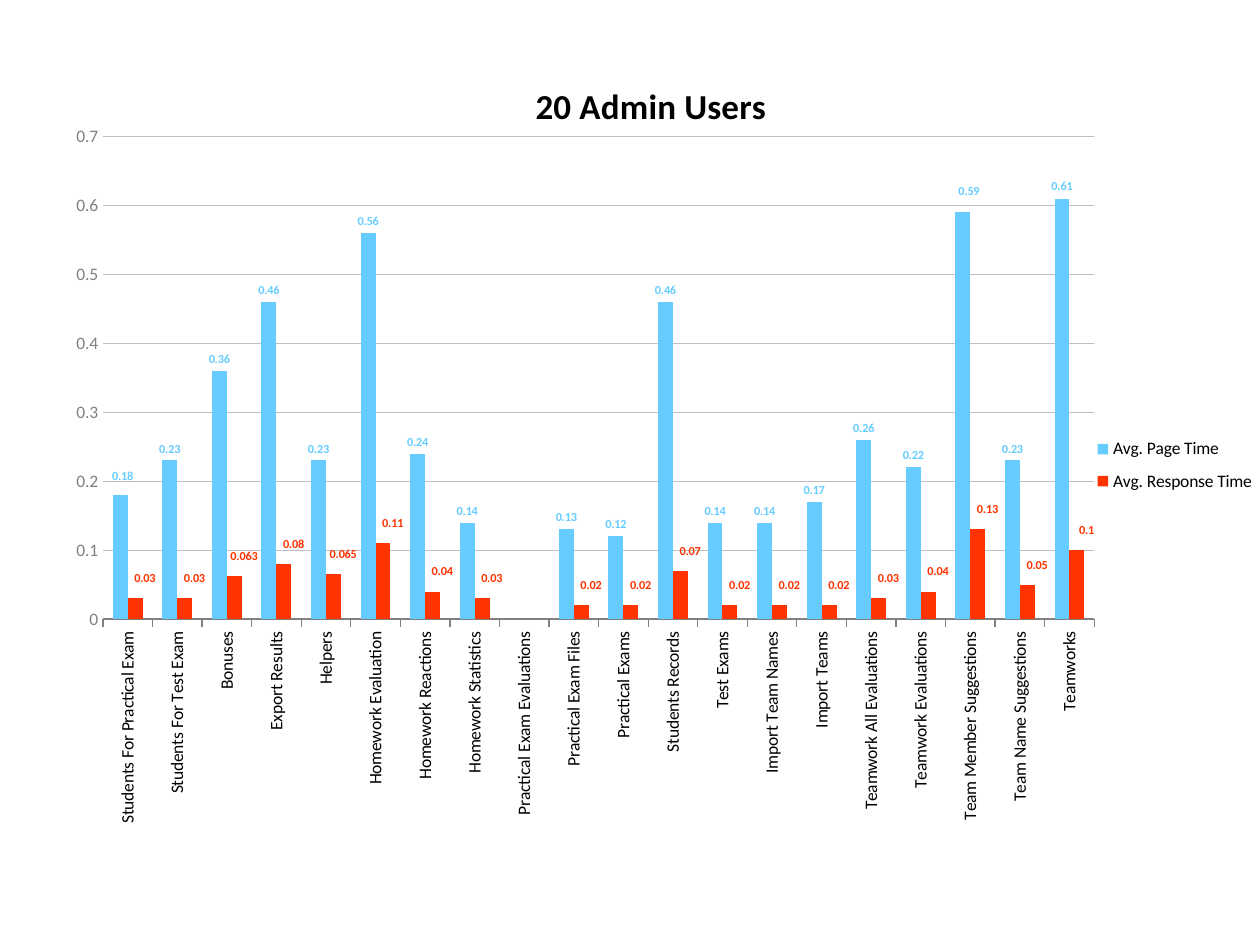
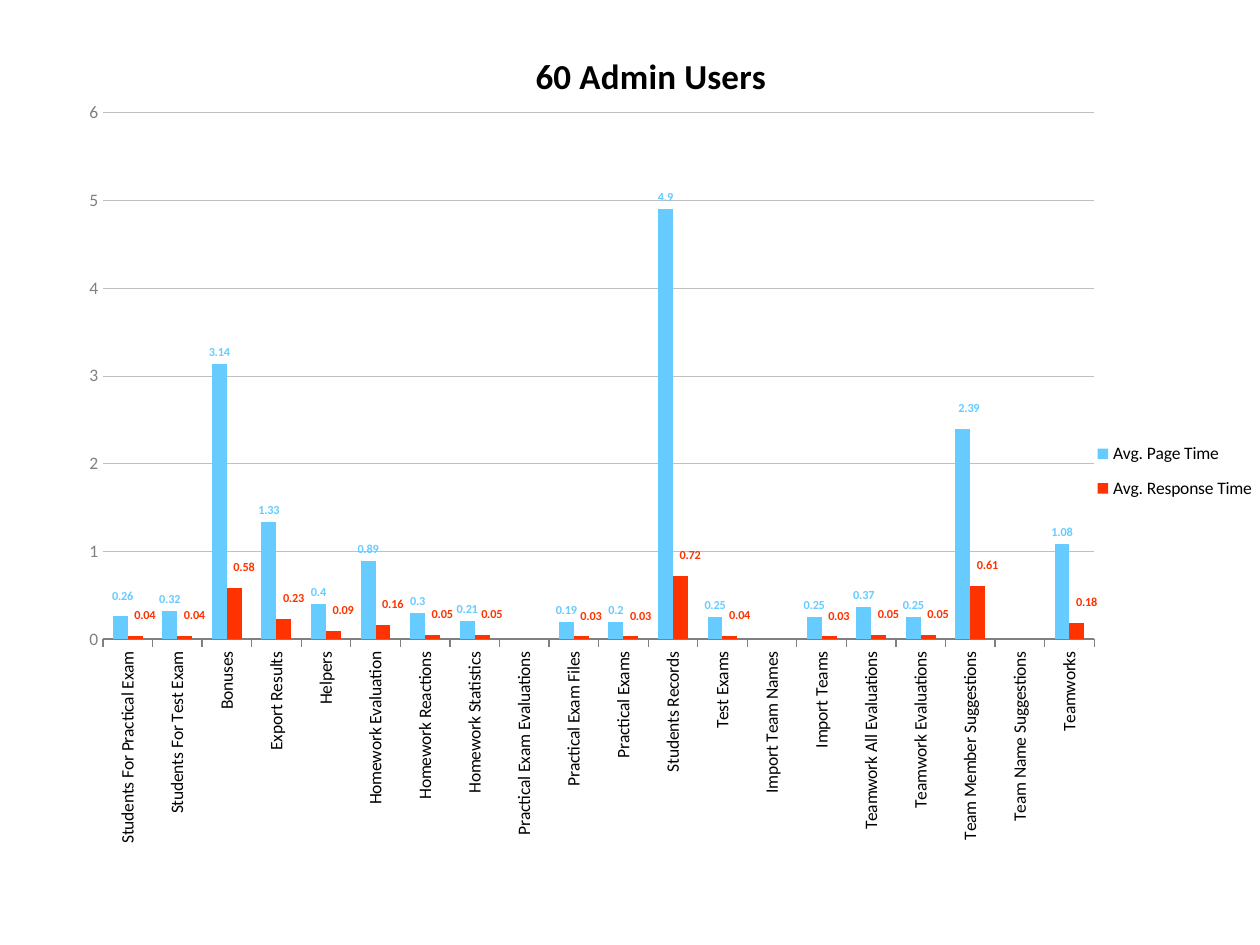
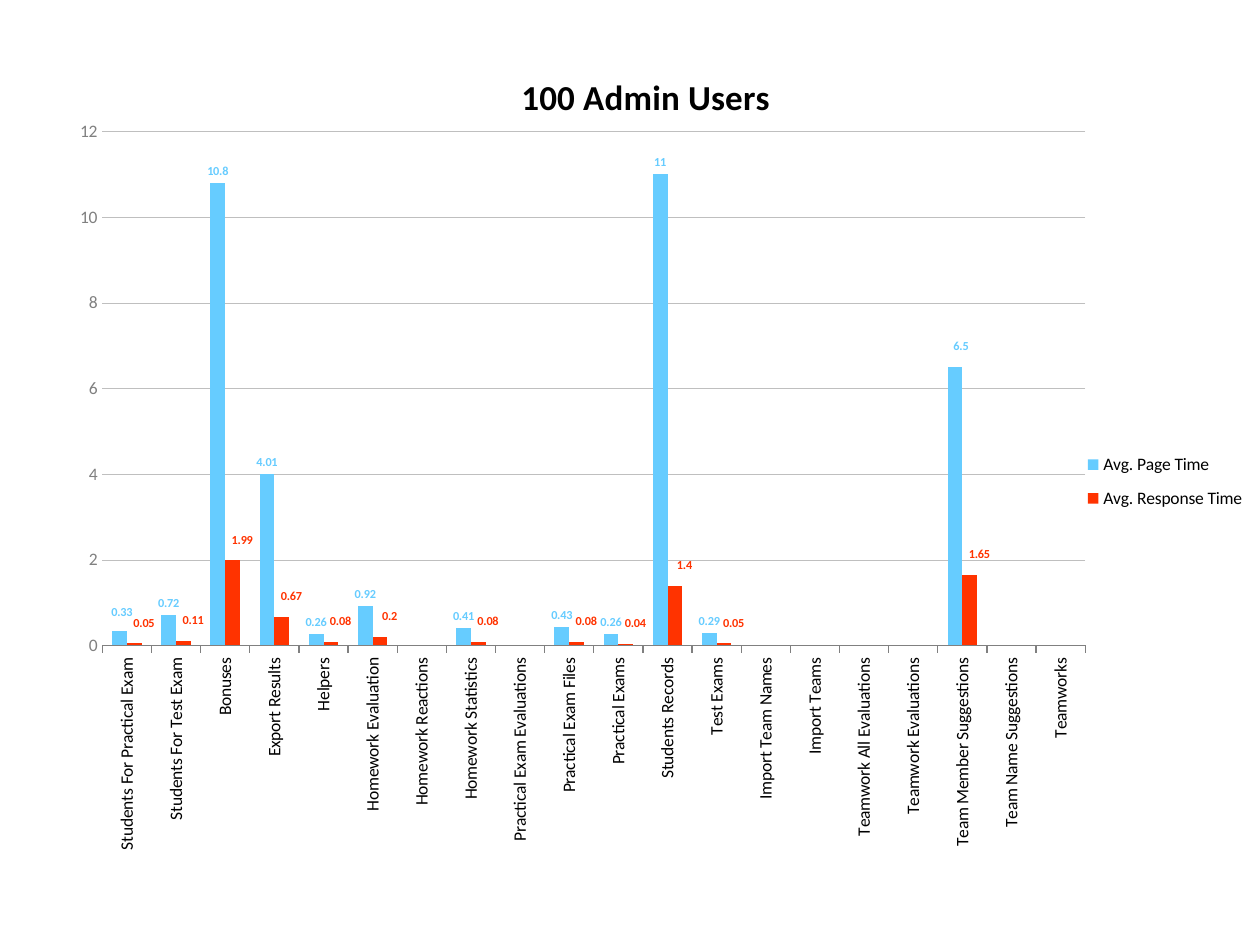
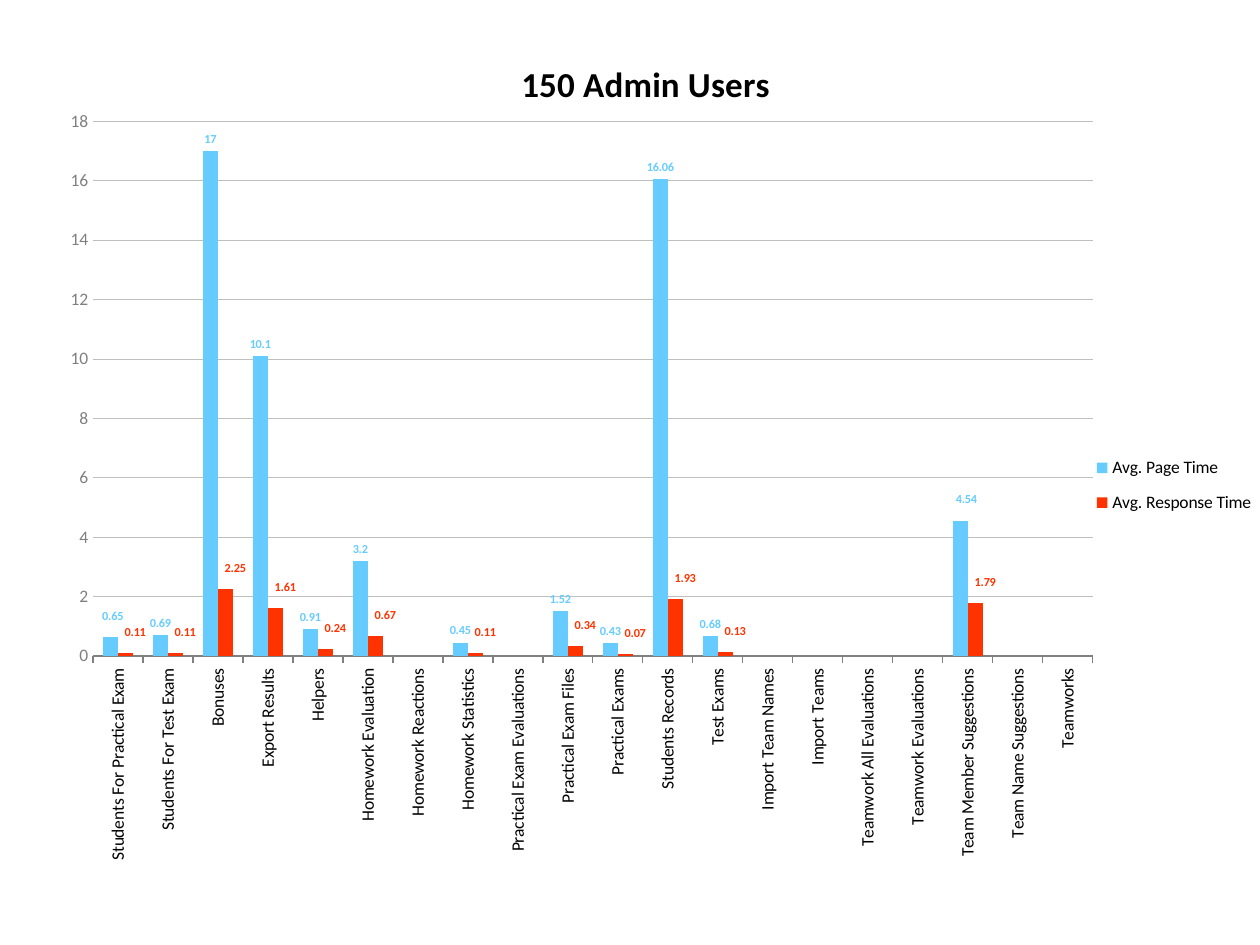
from lxml import etree
from pptx import Presentation
from pptx import util as u
from pptx.chart import data as chart_data
from pptx.dml.color import RGBColor
from pptx.enum import chart as charts
from pptx.oxml import ns

# Shared style
FONT = "Calibri"
BLACK = RGBColor(0x00, 0x00, 0x00)
GRAY = RGBColor(0x80, 0x80, 0x80)
GRID_GRAY = RGBColor(0xBF, 0xBF, 0xBF)
PAGE_BLUE = RGBColor(0x66, 0xCC, 0xFF)
RESPONSE_RED = RGBColor(0xFF, 0x33, 0x00)

# Fractions of the chart area
PLOT_BOX = dict(x=0.05, y=0.104, w=0.814, h=0.597)
LEGEND_BOX = dict(x=0.86, y=0.463, w=0.14, h=0.095)

CATEGORIES = [
    "Students For Practical Exam", "Students For Test Exam", "Bonuses",
    "Export Results", "Helpers", "Homework Evaluation", "Homework Reactions",
    "Homework Statistics", "Practical Exam Evaluations", "Practical Exam Files",
    "Practical Exams", "Students Records", "Test Exams", "Import Team Names",
    "Import Teams", "Teamwork All Evaluations", "Teamwork Evaluations",
    "Team Member Suggestions", "Team Name Suggestions", "Teamworks",
]

# Series name, colour and label shifts (point index: dx, dy)
SERIES_STYLES = [
    ("Avg. Page Time", PAGE_BLUE, {0: (0.002, -0.009), 17: (0.005, -0.011)}),
    ("Avg. Response Time", RESPONSE_RED,
     {index: (0.008, -0.01) for index in range(len(CATEGORIES))}),
]

# Users, chart box in points, page times, response times
LOAD_TESTS = [
    (20, (24, 30, 696, 462),
     [0.18, 0.23, 0.36, 0.46, 0.23, 0.56, 0.24, 0.14, None, 0.13,
      0.12, 0.46, 0.14, 0.14, 0.17, 0.26, 0.22, 0.59, 0.23, 0.61],
     [0.03, 0.03, 0.063, 0.08, 0.065, 0.11, 0.04, 0.03, None, 0.02,
      0.02, 0.07, 0.02, 0.02, 0.02, 0.03, 0.04, 0.13, 0.05, 0.1]),
    (60, (24, 12, 696, 504),
     [0.26, 0.32, 3.14, 1.33, 0.4, 0.89, 0.3, 0.21, None, 0.19,
      0.2, 4.9, 0.25, None, 0.25, 0.37, 0.25, 2.39, None, 1.08],
     [0.04, 0.04, 0.58, 0.23, 0.09, 0.16, 0.05, 0.05, None, 0.03,
      0.03, 0.72, 0.04, None, 0.03, 0.05, 0.05, 0.61, None, 0.18]),
    (100, (24, 24, 690, 492),
     [0.33, 0.72, 10.8, 4.01, 0.26, 0.92, None, 0.41, None, 0.43,
      0.26, 11, 0.29, None, None, None, None, 6.5, None, None],
     [0.05, 0.11, 1.99, 0.67, 0.08, 0.2, None, 0.08, None, 0.08,
      0.04, 1.4, 0.05, None, None, None, None, 1.65, None, None]),
    (150, (18, 16, 702, 512),
     [0.65, 0.69, 17, 10.1, 0.91, 3.2, None, 0.45, None, 1.52,
      0.43, 16.06, 0.68, None, None, None, None, 4.54, None, None],
     [0.11, 0.11, 2.25, 1.61, 0.24, 0.67, None, 0.11, None, 0.34,
      0.07, 1.93, 0.13, None, None, None, None, 1.79, None, None]),
]


def style_font(font, size=10, color=BLACK, bold=False):
    font.name, font.size, font.bold = FONT, u.Pt(size), bold
    font.color.rgb = color


def write_text(frame, content, **font_format):
    run = frame.paragraphs[0].add_run()
    run.text = content
    style_font(run.font, **font_format)


def set_layout(element, position, **values):
    """Give a chart part a manual layout, as child number `position`."""
    for old_layout in element.findall(ns.qn("c:layout")):
        element.remove(old_layout)
    layout = etree.Element(ns.qn("c:layout"))
    manual = etree.SubElement(layout, ns.qn("c:manualLayout"))
    for tag, value in values.items():
        etree.SubElement(manual, ns.qn(f"c:{tag}")).set("val", str(value))
    element.insert(position, layout)


class Deck:
    def __init__(self):
        self.presentation = Presentation()
        self.presentation.slide_width = u.Pt(720)
        self.presentation.slide_height = u.Pt(540)
        self.slide = None

    def add_slide(self):
        blank_layout = self.presentation.slide_layouts[6]
        self.slide = self.presentation.slides.add_slide(blank_layout)

    def add_column_chart(self, title, box, *value_lists):
        data = chart_data.CategoryChartData()
        data.categories = CATEGORIES
        for (name, _, _), values in zip(SERIES_STYLES, value_lists):
            data.add_series(name, values)
        chart = self.slide.shapes.add_chart(
            charts.XL_CHART_TYPE.COLUMN_CLUSTERED, *map(u.Pt, box), data).chart
        style_font(chart.font)

        # Title and plot
        chart.has_title = True
        write_text(chart.chart_title.text_frame, title, size=20, bold=True)
        chart.chart_title.include_in_layout = False
        plot = chart.plots[0]
        plot.gap_width, plot.overlap, plot.vary_by_categories = 132, 0, False
        plot_area = chart.element.find(".//" + ns.qn("c:plotArea"))
        set_layout(plot_area, 0, layoutTarget="inner", xMode="edge",
                   yMode="edge", **PLOT_BOX)

        self.style_axes(chart)
        self.style_legend(chart)
        for series, (_, color, shifts) in zip(plot.series, SERIES_STYLES):
            self.style_series(series, color, shifts)

    def style_axes(self, chart):
        category_axis, value_axis = chart.category_axis, chart.value_axis
        category_axis.major_tick_mark = charts.XL_TICK_MARK.OUTSIDE
        category_axis.format.line.color.rgb = GRAY
        style_font(category_axis.tick_labels.font)
        body = category_axis._element.find(
            ns.qn("c:txPr") + "/" + ns.qn("a:bodyPr"))
        body.set("rot", "-5400000")
        body.set("vert", "horz")

        value_axis.major_tick_mark = charts.XL_TICK_MARK.NONE
        value_axis.format.line.fill.background()
        style_font(value_axis.tick_labels.font, color=GRAY)
        grid_line = value_axis.major_gridlines.format.line
        grid_line.color.rgb, grid_line.width = GRID_GRAY, u.Pt(0.25)

    def style_legend(self, chart):
        chart.has_legend = True
        legend = chart.legend
        legend.position = charts.XL_LEGEND_POSITION.RIGHT
        legend.include_in_layout = False
        style_font(legend.font)
        set_layout(legend._element, 1, xMode="edge", yMode="edge", **LEGEND_BOX)

    def style_series(self, series, color, shifts):
        series.format.fill.solid()
        series.format.fill.fore_color.rgb = color
        labels = series.data_labels
        labels.show_value = True
        labels.position = charts.XL_LABEL_POSITION.OUTSIDE_END
        style_font(labels.font, size=7, color=color, bold=True)

        # Labels moved away from their usual place
        values = series.values
        moved = {i: shift for i, shift in shifts.items() if values[i] is not None}
        for index in moved:
            label = series.points[index].data_label
            style_font(label.font, size=7, color=color, bold=True)
            label.position = charts.XL_LABEL_POSITION.OUTSIDE_END
        label_elements = series._element.iter(ns.qn("c:dLbl"))
        for element, (dx, dy) in zip(list(label_elements), moved.values()):
            set_layout(element, 1, x=dx, y=dy)


def main():
    deck = Deck()
    for users, box, page_times, response_times in LOAD_TESTS:
        deck.add_slide()
        deck.add_column_chart(f"{users} Admin Users", box,
                              page_times, response_times)
    deck.presentation.save("out.pptx")


if __name__ == "__main__":
    main()
